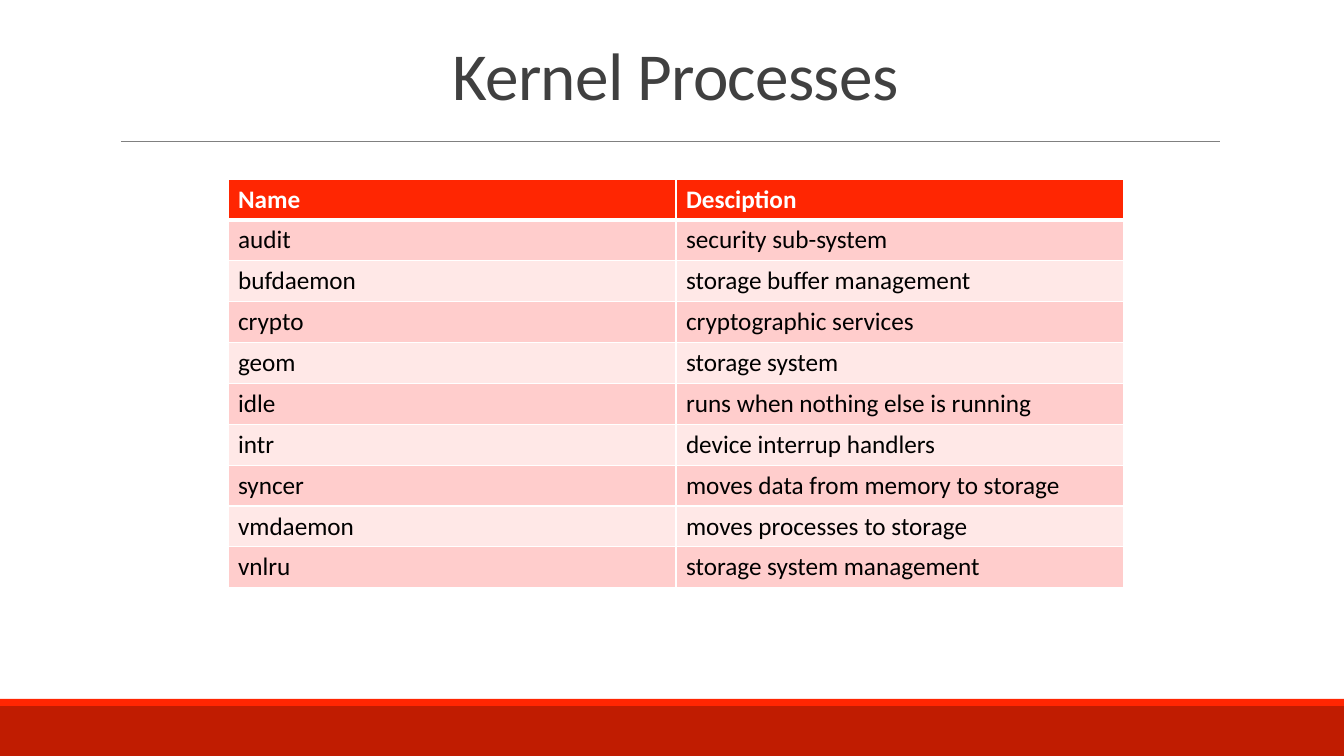
from lxml import etree
from pptx import Presentation
from pptx import util as u
from pptx.dml.color import RGBColor
from pptx.enum import shapes, text
from pptx.oxml.ns import qn

SCALE = 914400 / 100.8
FONT = "Calibri"
RED, DARK_RED, WHITE = "FF2602", "C01C01", "FFFFFF"
BANDS = ("FFCDCC", "FFE8E7")

PROCESSES = [
    ("Name", "Desciption"),
    ("audit", "security sub-system"),
    ("bufdaemon", "storage buffer management"),
    ("crypto", "cryptographic services"),
    ("geom", "storage system"),
    ("idle", "runs when nothing else is running"),
    ("intr", "device interrup handlers"),
    ("syncer", "moves data from memory to storage"),
    ("vmdaemon", "moves processes to storage"),
    ("vnlru", "storage system management"),
]


def px(*lengths):
    return [u.Emu(round(length * SCALE)) for length in lengths]


def paint(target, color):
    target.solid()
    target.fore_color.rgb = RGBColor.from_string(color)


class SlideBuilder:
    def __init__(self, presentation):
        self.slide = presentation.slides.add_slide(presentation.slide_layouts[5])
        paint(self.slide.background.fill, WHITE)

    def style(self, paragraph, size, color, bold=False):
        font = paragraph.font
        font.name, font.size, font.bold = FONT, u.Pt(size), bold
        paint(font.fill, color)

    def title(self, words, left, top, width, height):
        shape = self.slide.shapes.title
        shape.left, shape.top, shape.width, shape.height = px(left, top, width, height)
        frame = shape.text_frame
        frame.text = words
        frame.auto_size = text.MSO_AUTO_SIZE.NONE
        frame.vertical_anchor = text.MSO_ANCHOR.MIDDLE
        paragraph = frame.paragraphs[0]
        paragraph.alignment = text.PP_ALIGN.CENTER
        paragraph.line_spacing = 0.85
        self.style(paragraph, 48, "404040")
        paragraph.runs[0].font._element.set("spc", "-50")

    def bar(self, color, left, top, width, height):
        shape = self.slide.shapes.add_shape(
            shapes.MSO_SHAPE.RECTANGLE, *px(left, top, width, height))
        shape.shadow.inherit = False
        paint(shape.fill, color)
        shape.line.fill.background()

    def rule(self, color, points, x1, y1, x2, y2):
        connector = self.slide.shapes.add_connector(
            shapes.MSO_CONNECTOR.STRAIGHT, *px(x1, y1, x2, y2))
        paint(connector.line.fill, color)
        connector.line.width = u.Pt(points)
        etree.SubElement(connector._element.spPr, qn("a:effectLst"))

    def border(self, cell, side, points):
        properties = cell._tc.get_or_add_tcPr()
        line = etree.SubElement(properties, qn(f"a:ln{side}"), w=str(u.Pt(points)))
        fill = etree.SubElement(line, qn("a:solidFill"))
        etree.SubElement(fill, qn("a:srgbClr"), val=WHITE)

    def table(self, rows, left, top, width, height):
        frame = self.slide.shapes.add_table(
            len(rows), len(rows[0]), *px(left, top, width, height))
        for row, values in enumerate(rows):
            header = row == 0
            for column, value in enumerate(values):
                cell = frame.table.cell(row, column)
                cell.text = value
                self.style(cell.text_frame.paragraphs[0], 18,
                           WHITE if header else "000000", header)
                for side in "LRTB":
                    heavy = (row, side) in ((0, "B"), (1, "T"))
                    self.border(cell, side, 3 if heavy else 1)
                paint(cell.fill, RED if header else BANDS[(row - 1) % 2])


presentation = Presentation()
presentation.slide_width, presentation.slide_height = px(1344, 756)

builder = SlideBuilder(presentation)
builder.bar(DARK_RED, 0, 706, 1344, 50)
builder.bar(RED, 0, 699, 1344, 7)
builder.rule("808080", 0.5, 121, 141, 1220, 141)
builder.title("Kernel Processes", 121, 31, 1109, 97)
builder.table(PROCESSES, 228, 179, 896, 408)

presentation.save("out.pptx")
